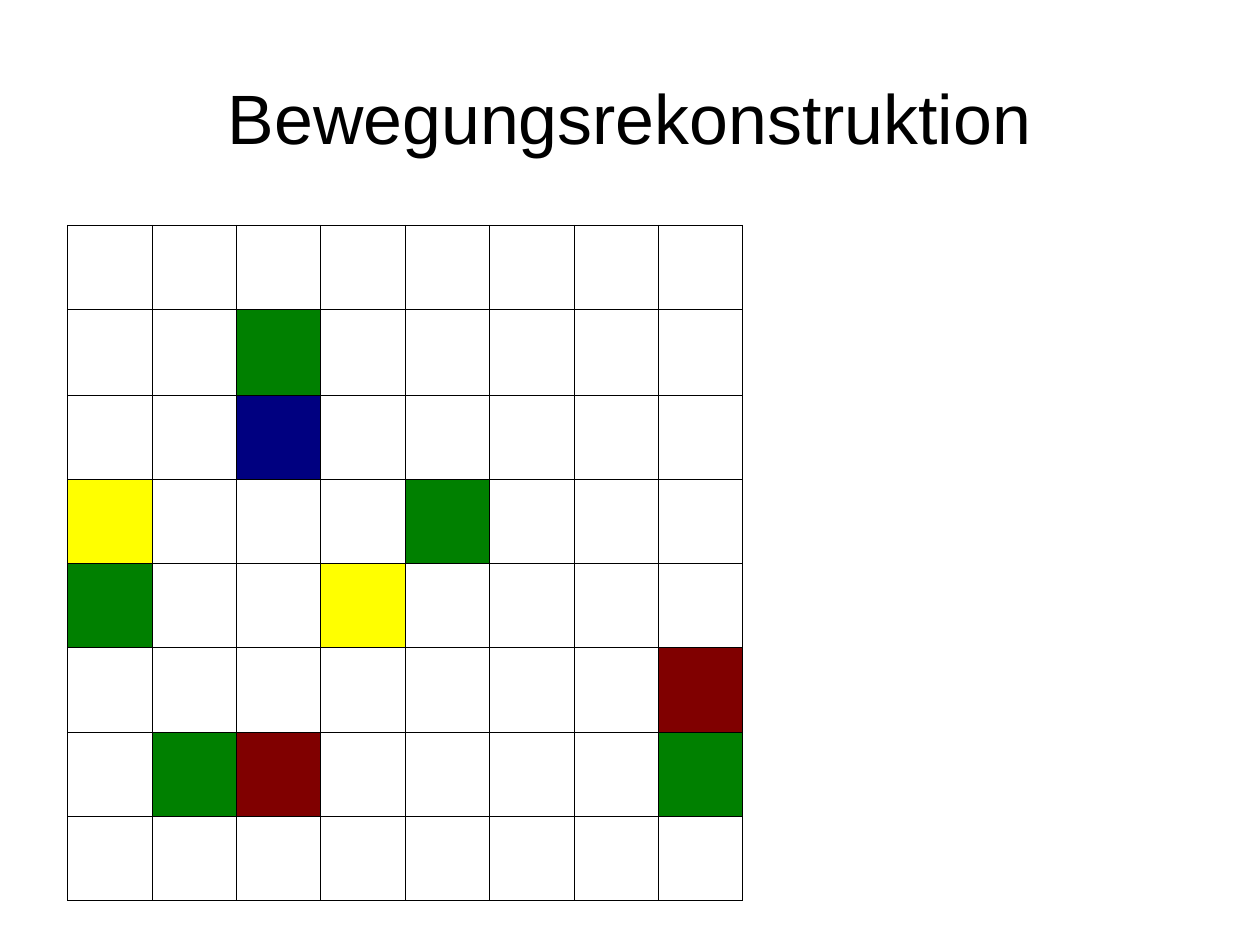
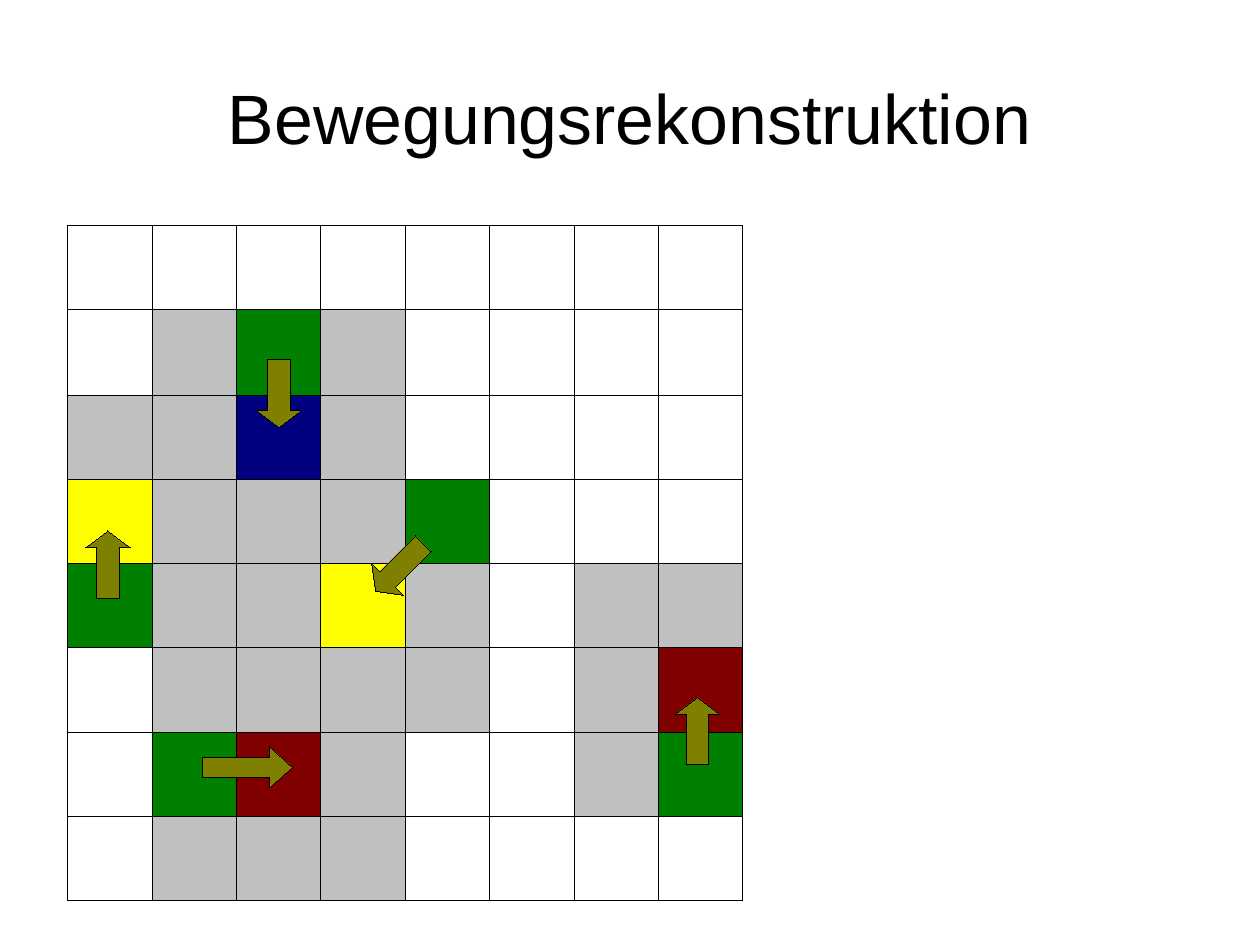
"""Build two slides that show motion reconstruction on a coloured grid."""

from dataclasses import dataclass

from lxml.etree import SubElement
from pptx import Presentation
from pptx.dml.color import RGBColor
from pptx.enum.shapes import MSO_SHAPE
from pptx.enum.text import MSO_ANCHOR, PP_ALIGN
from pptx.oxml.ns import qn
from pptx.slide import Slide
from pptx.table import _Cell
from pptx.util import Emu, Pt

PX_PER_INCH = 254
EMU_PER_PX = 914400 // PX_PER_INCH

PAGE_WIDTH, PAGE_HEIGHT = 2800, 2100
GRID_LEFT, GRID_TOP, GRID_SIZE, GRID_CELLS = 150, 500, 1500, 8
TALL_ROW = 1
TITLE = "Bewegungsrekonstruktion"
FONT = "Arial"
BLACK = "000000"
ARROW_FILL = "808000"
BORDER_EMU = 762
HAIRLINE = Emu(1)
FILLS = {
    ".": "FFFFFF",
    "s": "C0C0C0",
    "g": "008000",
    "b": "000080",
    "y": "FFFF00",
    "r": "800000",
}

SEARCHED_CELLS = [
    "........",
    ".sgs....",
    "ssbs....",
    "ysssg...",
    "gssys.ss",
    ".ssss.sr",
    ".grs..sg",
    ".sss....",
]
MARKED_CELLS = [row.replace("s", ".") for row in SEARCHED_CELLS]


@dataclass(frozen=True)
class MotionArrow:
    """A block arrow from an old cell towards a new one."""

    preset: MSO_SHAPE
    left: int
    top: int
    width: int = 100
    height: int = 150
    head: float = 0.375
    rotation: int = 0


ARROWS = [
    MotionArrow(MSO_SHAPE.RIGHT_ARROW, 450, 1660, 200, 90, head=0.556),
    MotionArrow(MSO_SHAPE.UP_ARROW, 190, 1180),
    MotionArrow(MSO_SHAPE.DOWN_ARROW, 570, 800),
    MotionArrow(MSO_SHAPE.UP_ARROW, 1500, 1550),
    MotionArrow(MSO_SHAPE.DOWN_ARROW, 838, 1186, rotation=45),
]


def px(length: int) -> Emu:
    """Turn px into EMU."""
    return Emu(length * EMU_PER_PX)


def colour(code: str) -> RGBColor:
    """Turn a hex string into a colour."""
    return RGBColor.from_string(code)


def add_title(page: Slide) -> None:
    """Add the centred title."""
    box = page.shapes.add_textbox(px(140), px(84), px(2520), px(350))
    frame = box.text_frame
    frame.word_wrap = True
    frame.vertical_anchor = MSO_ANCHOR.MIDDLE
    frame.margin_left = frame.margin_right = 0
    frame.margin_top = frame.margin_bottom = 0
    para = frame.paragraphs[0]
    para.alignment = PP_ALIGN.CENTER
    span = para.add_run()
    span.text = TITLE
    span.font.name = FONT
    span.font.size = Pt(44)
    span.font.color.rgb = colour(BLACK)


def style_cell(cell: _Cell, fill: str) -> None:
    """Give a cell thin black borders and a fill."""
    properties = cell._tc.get_or_add_tcPr()
    for side in ("a:lnL", "a:lnR", "a:lnT", "a:lnB"):
        line = SubElement(properties, qn(side), w=str(BORDER_EMU))
        solid = SubElement(line, qn("a:solidFill"))
        SubElement(solid, qn("a:srgbClr"), val=BLACK)
    cell.fill.solid()
    cell.fill.fore_color.rgb = colour(fill)


def add_grid(page: Slide, rows: list[str]) -> None:
    """Add the square grid, one letter a cell."""
    table = page.shapes.add_table(
        GRID_CELLS, GRID_CELLS, px(GRID_LEFT), px(GRID_TOP), px(GRID_SIZE), px(GRID_SIZE)
    ).table
    table.first_row = table.horz_banding = False
    edges = [GRID_SIZE * index // GRID_CELLS for index in range(GRID_CELLS + 1)]
    for column, start, end in zip(table.columns, edges, edges[1:]):
        column.width = px(end - start)
    row_height, remainder = divmod(GRID_SIZE, GRID_CELLS)
    for row in table.rows:
        row.height = px(row_height)
    table.rows[TALL_ROW].height = px(row_height + remainder)
    for row_index, letters in enumerate(rows):
        for column_index, letter in enumerate(letters):
            style_cell(table.cell(row_index, column_index), FILLS[letter])


def add_arrow(page: Slide, arrow: MotionArrow) -> None:
    """Add one motion arrow."""
    shape = page.shapes.add_shape(
        arrow.preset, px(arrow.left), px(arrow.top), px(arrow.width), px(arrow.height)
    )
    shape.adjustments[0] = 0.5
    shape.adjustments[1] = arrow.head
    shape.rotation = arrow.rotation
    shape.shadow.inherit = False
    shape.fill.solid()
    shape.fill.fore_color.rgb = colour(ARROW_FILL)
    shape.line.color.rgb = colour(BLACK)
    shape.line.width = HAIRLINE


def main() -> None:
    """Build and save the deck."""
    deck = Presentation()
    deck.slide_width = px(PAGE_WIDTH)
    deck.slide_height = px(PAGE_HEIGHT)
    for rows, arrows in ((MARKED_CELLS, []), (SEARCHED_CELLS, ARROWS)):
        page = deck.slides.add_slide(deck.slide_layouts[6])
        add_title(page)
        add_grid(page, rows)
        for arrow in arrows:
            add_arrow(page, arrow)
    deck.save("out.pptx")


if __name__ == "__main__":
    main()
